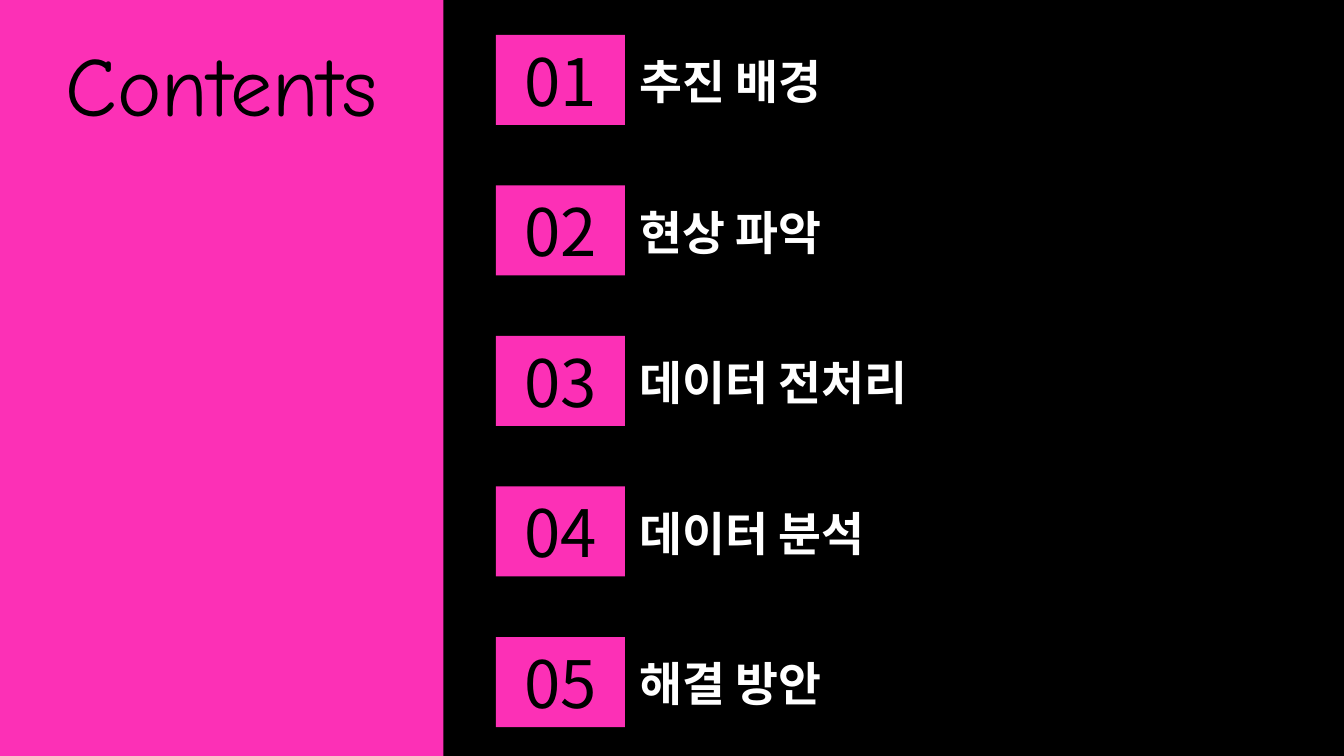
from dataclasses import dataclass

from lxml import etree
from pptx import Presentation
from pptx.dml.color import RGBColor
from pptx.enum.shapes import MSO_SHAPE as Shape
from pptx.enum.text import MSO_ANCHOR as Anchor, PP_ALIGN as Align
from pptx.oxml.ns import qn
from pptx.util import Inches, Pt

PINK = RGBColor(0xFC, 0x30, 0xB6)
BLACK = RGBColor(0x00, 0x00, 0x00)
WHITE = RGBColor(0xFF, 0xFF, 0xFF)

KOREAN_FONT = "Noto Sans CJK KR"
TITLE_FONT = "Comic Neue"

SLIDE_WIDTH = 10
SLIDE_HEIGHT = SLIDE_WIDTH * 9 / 16
PANEL_WIDTH = 3.3
FIRST_TOP, ROW_STEP = 0.26, 1.12
NUMBER_LEFT, NUMBER_WIDTH, NUMBER_HEIGHT = 3.69, 0.96, 0.67
LABEL_LEFT, LABEL_HEIGHT, LABEL_DROP = 4.66, 0.58, 0.07


@dataclass(frozen=True)
class Style:
    font: str
    size: int
    color: RGBColor
    align: Align
    anchor: Anchor
    bold: bool = False


@dataclass(frozen=True)
class Entry:
    label: str
    width: float


TITLE = Style(TITLE_FONT, 45, BLACK, Align.CENTER, Anchor.MIDDLE)
NUMBER = Style(KOREAN_FONT, 35, BLACK, Align.CENTER, Anchor.MIDDLE)
LABEL = Style(KOREAN_FONT, 25, WHITE, Align.LEFT, Anchor.BOTTOM, bold=True)

ENTRIES = [
    Entry("추진 배경", 1.64),
    Entry("현상 파악", 1.64),
    Entry("데이터 전처리", 2.41),
    Entry("데이터 분석", 2.21),
    Entry("해결 방안", 2.21),
]


def write(shape, text: str, style: Style) -> None:
    frame = shape.text_frame
    frame.word_wrap = True
    frame.vertical_anchor = style.anchor
    frame.margin_left = frame.margin_right = Inches(0.1)
    frame.margin_top = frame.margin_bottom = Inches(0.1)
    para = frame.paragraphs[0]
    para.alignment = style.align
    span = para.add_run()
    span.text = text
    span.font.size = Pt(style.size)
    span.font.bold = style.bold
    span.font.color.rgb = style.color
    span.font.name = style.font
    # Hangul takes its typeface from the East Asian font
    east_asian = etree.SubElement(span.font._element, qn("a:ea"))
    east_asian.set("typeface", style.font)


def add_block(page, left: float, top: float, width: float, height: float):
    block = page.shapes.add_shape(
        Shape.RECTANGLE, Inches(left), Inches(top), Inches(width), Inches(height)
    )
    block.shadow.inherit = False
    block.fill.solid()
    block.fill.fore_color.rgb = PINK
    block.line.fill.background()
    return block


def add_text(page, left: float, top: float, width: float, height: float,
             text: str, style: Style) -> None:
    box = page.shapes.add_textbox(
        Inches(left), Inches(top), Inches(width), Inches(height)
    )
    write(box, text, style)


def add_entry(page, index: int, entry: Entry) -> None:
    top = FIRST_TOP + index * ROW_STEP
    add_text(page, LABEL_LEFT, top + LABEL_DROP, entry.width, LABEL_HEIGHT,
             entry.label, LABEL)
    block = add_block(page, NUMBER_LEFT, top, NUMBER_WIDTH, NUMBER_HEIGHT)
    write(block, f"{index + 1:02d}", NUMBER)


def main() -> None:
    deck = Presentation()
    deck.slide_width = Inches(SLIDE_WIDTH)
    deck.slide_height = Inches(SLIDE_HEIGHT)
    page = deck.slides.add_slide(deck.slide_layouts[6])
    page.background.fill.solid()
    page.background.fill.fore_color.rgb = BLACK

    # Side panel with the heading
    add_block(page, 0, 0, PANEL_WIDTH, SLIDE_HEIGHT)
    add_text(page, 0, 0.3, PANEL_WIDTH, 0.63, "Contents", TITLE)

    # Numbered entries
    for index, entry in enumerate(ENTRIES):
        add_entry(page, index, entry)

    deck.save("out.pptx")


if __name__ == "__main__":
    main()
